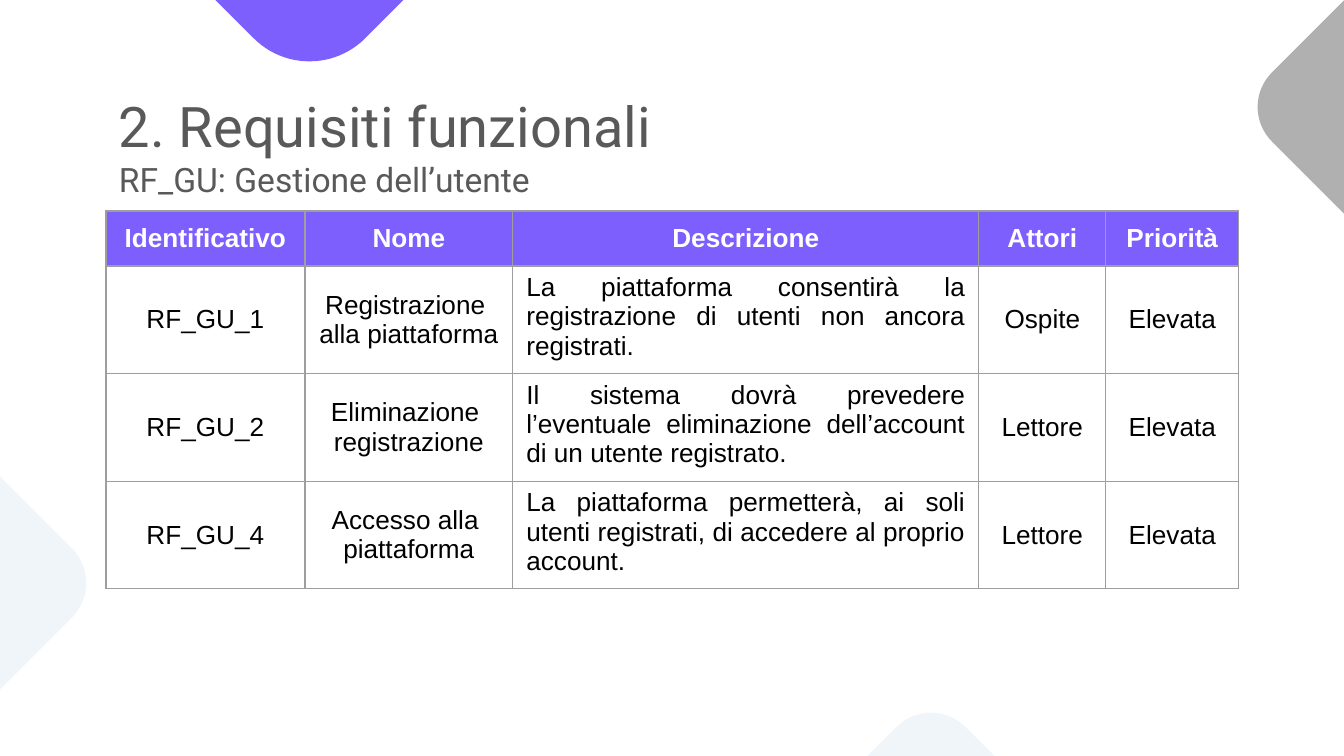
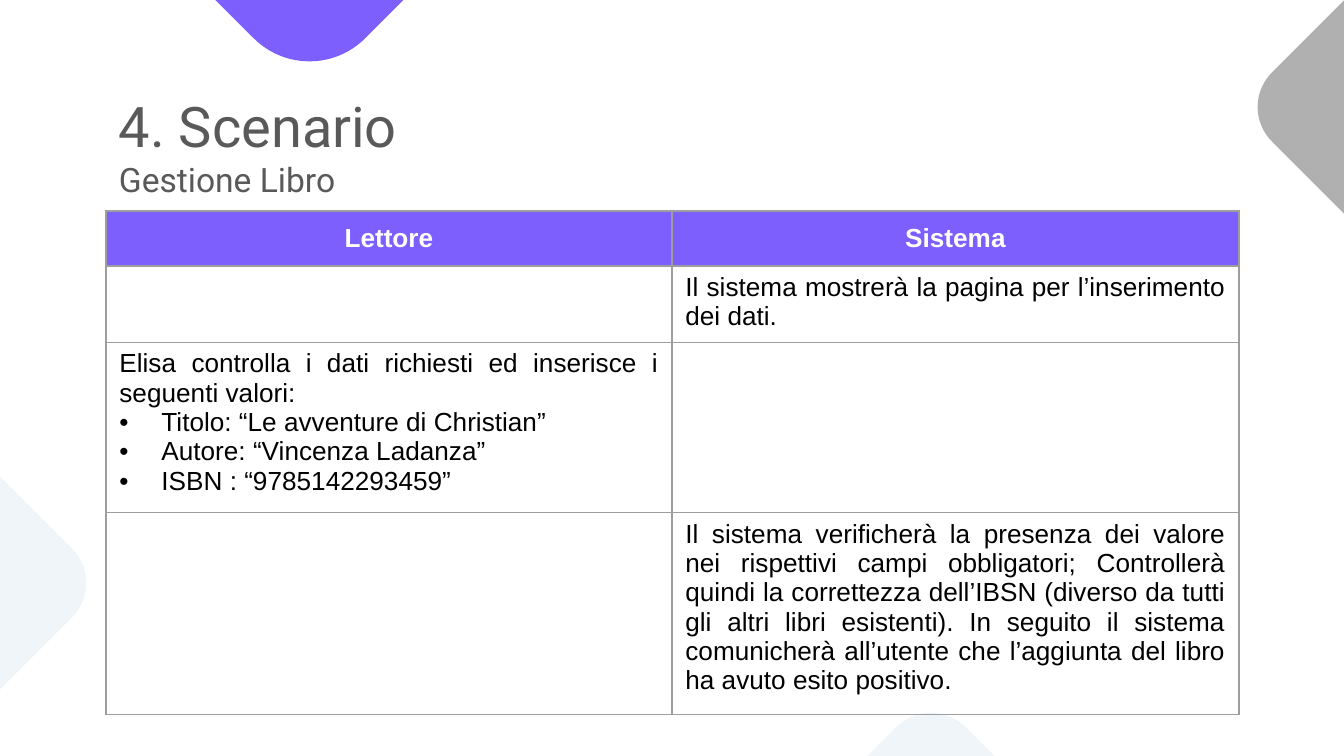
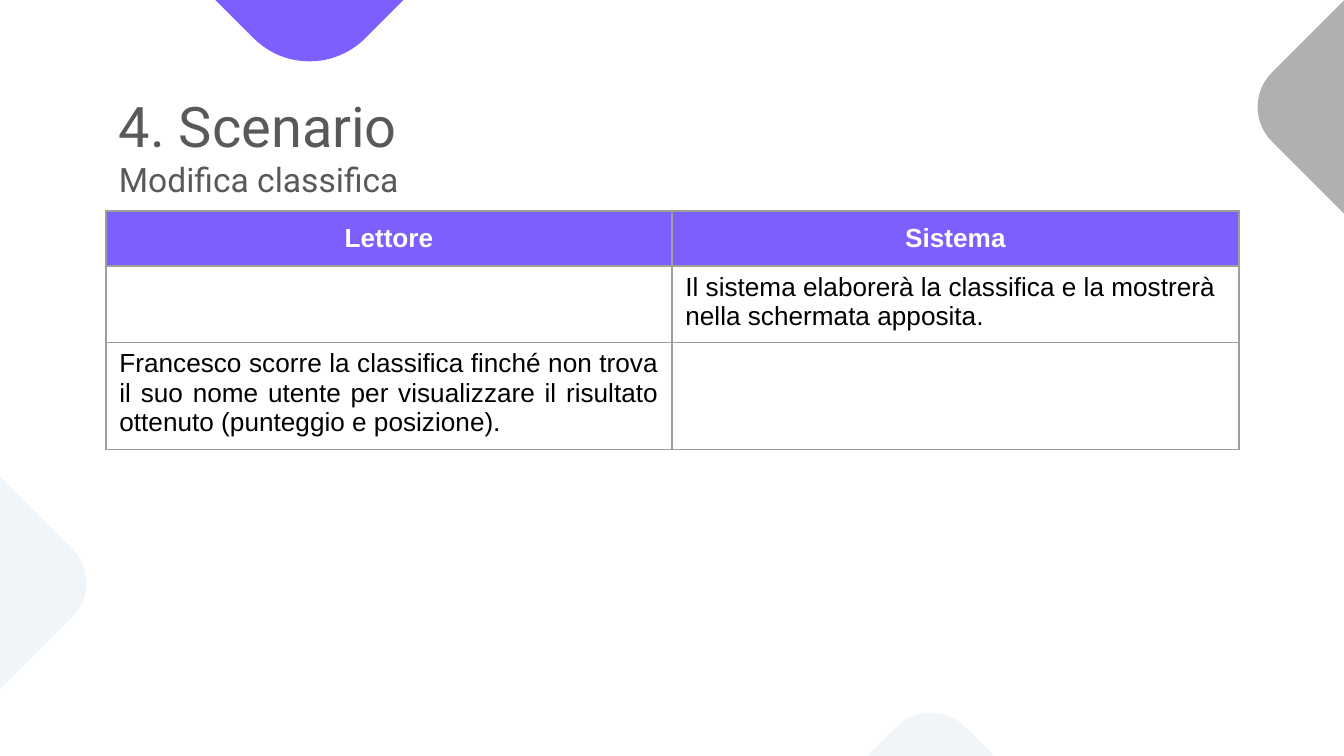
from lxml import etree
from pptx import Presentation
from pptx.dml.color import RGBColor
from pptx.enum.shapes import MSO_SHAPE
from pptx.enum.text import MSO_ANCHOR, PP_ALIGN
from pptx.oxml.ns import qn
from pptx.util import Pt

ROUNDED = MSO_SHAPE.ROUNDED_RECTANGLE
MIDDLE, TOP = MSO_ANCHOR.MIDDLE, MSO_ANCHOR.TOP
CENTER, JUSTIFY, LEFT = PP_ALIGN.CENTER, PP_ALIGN.JUSTIFY, PP_ALIGN.LEFT

PURPLE = RGBColor(0x7D, 0x5F, 0xFE)
GRAY = RGBColor(0xB0, 0xB0, 0xB0)
PALE = RGBColor(0xF0, 0xF5, 0xFA)
TITLE = RGBColor(0x59, 0x59, 0x59)
BORDER = RGBColor(0x9E, 0x9E, 0x9E)
BLACK = RGBColor(0, 0, 0)
WHITE = RGBColor(0xFF, 0xFF, 0xFF)

SLIDE_W, SLIDE_H = 1344, 756
MARGIN, CONTENT_W = 106, 1133
TITLE_TOP, TABLE_TOP = 79, 211
ROW_H, INDENT, INSET = 55, 42, 13

DIAMONDS = [
    (73, -477, 473, PURPLE),
    (1298, -39, 292, GRAY),
    (-246, 437, 292, PALE),
    (785, 753, 292, PALE),
]

SLIDES = [
    {
        "title": "2. Requisiti funzionali",
        "subtitle": "RF_GU: Gestione dell’utente",
        "cols": [199, 208, 466, 127, 133],
        "justified": [2],
        "row_heights": [ROW_H] * 4,
        "height": 378,
        "rows": [
            ["Identificativo", "Nome", "Descrizione", "Attori", "Priorità"],
            ["RF_GU_1", "Registrazione \nalla piattaforma",
             "La piattaforma consentirà la registrazione di utenti non ancora registrati.",
             "Ospite", "Elevata"],
            ["RF_GU_2", "Eliminazione \nregistrazione",
             "Il sistema dovrà prevedere l’eventuale eliminazione dell’account "
             "di un utente registrato.",
             "Lettore", "Elevata"],
            ["RF_GU_4", "Accesso alla \npiattaforma",
             "La piattaforma permetterà, ai soli utenti registrati, di accedere "
             "al proprio account.",
             "Lettore", "Elevata"],
        ],
    },
    {
        "title": "4. Scenario",
        "subtitle": "Gestione Libro",
        "cols": [566, 567],
        "justified": [0, 1],
        "row_heights": [ROW_H] * 3 + [22],
        "height": 503,
        "rows": [
            ["Lettore", "Sistema"],
            ["", "Il sistema mostrerà la pagina per l’inserimento dei dati."],
            ["Elisa controlla i dati richiesti ed inserisce i seguenti valori:\n"
             "• Titolo: “Le avventure di Christian”\n"
             "• Autore: “Vincenza Ladanza”\n"
             "• ISBN : “9785142293459” ", ""],
            ["", "Il sistema verificherà la presenza dei valore nei rispettivi campi "
             "obbligatori; Controllerà quindi la correttezza dell’IBSN (diverso da "
             "tutti gli altri libri esistenti). In seguito il sistema comunicherà "
             "all’utente che l’aggiunta del libro ha avuto esito positivo."],
        ],
    },
    {
        "title": "4. Scenario",
        "subtitle": "Modifica classifica",
        "cols": [566, 567],
        "justified": [0, 1],
        "row_heights": [ROW_H] * 3,
        "height": 238,
        "rows": [
            ["Lettore", "Sistema"],
            ["", "Il sistema elaborerà la classifica e la mostrerà \n"
             "nella schermata apposita."],
            ["Francesco scorre la classifica finché non trova \n"
             "il suo nome utente per visualizzare il risultato ottenuto "
             "(punteggio e posizione).", ""],
        ],
    },
]


def px(n):
    return round(n * 9144000 / SLIDE_W)


def add_text(p, text, size=14, font="Arial", color=BLACK, bold=False, align=LEFT):
    p.alignment = align
    if text.startswith("• "):
        text = text[2:]
        pPr = p._p.get_or_add_pPr()
        pPr.set("marL", str(px(INDENT)))
        pPr.set("indent", str(-px(INDENT)))
        etree.SubElement(pPr, qn("a:buFont"), typeface="Arial")
        etree.SubElement(pPr, qn("a:buChar"), char="•")
    r = p.add_run()
    r.text = text
    r.font.size = Pt(size)
    r.font.name = font
    r.font.bold = bold
    r.font.color.rgb = color


prs = Presentation()
prs.slide_width, prs.slide_height = px(SLIDE_W), px(SLIDE_H)

for spec_data in SLIDES:
    s = prs.slides.add_slide(prs.slide_layouts[6])

    for x, y, side, color in DIAMONDS:
        sp = s.shapes.add_shape(ROUNDED, px(x), px(y), px(side), px(side))
        sp.rotation = 315
        sp.shadow.inherit = False
        sp.fill.solid()
        sp.fill.fore_color.rgb = color
        sp.line.fill.background()

    box = s.shapes.add_textbox(px(MARGIN), px(TITLE_TOP), px(CONTENT_W),
                               px(TABLE_TOP - TITLE_TOP))
    tf = box.text_frame
    tf.word_wrap = True
    tf.vertical_anchor = TOP
    tf.margin_left = tf.margin_right = tf.margin_top = tf.margin_bottom = px(INSET)
    p = tf.paragraphs[0]
    add_text(p, spec_data["title"], size=30, font="Roboto", color=TITLE)
    p.add_line_break()
    add_text(p, spec_data["subtitle"], size=18, font="Roboto", color=TITLE)

    rows, cols = spec_data["rows"], spec_data["cols"]
    frame = s.shapes.add_table(len(rows), len(cols), px(MARGIN), px(TABLE_TOP),
                               px(CONTENT_W), px(spec_data["height"]))
    table = frame.table
    table.first_row = table.horz_banding = False
    for col, width in zip(table.columns, cols):
        col.width = px(width)
    for row, height in zip(table.rows, spec_data["row_heights"]):
        row.height = px(height)
    frame.height = px(spec_data["height"])

    for i, row in enumerate(rows):
        for j, text in enumerate(row):
            cell = table.cell(i, j)
            header = i == 0
            justified = not header and j in spec_data["justified"]
            cell.vertical_anchor = TOP if justified else MIDDLE
            tcPr = cell._tc.get_or_add_tcPr()
            for edge in ("a:lnL", "a:lnR", "a:lnT", "a:lnB"):
                ln = etree.SubElement(tcPr, qn(edge), w=str(Pt(0.75)))
                fill = etree.SubElement(ln, qn("a:solidFill"))
                etree.SubElement(fill, qn("a:srgbClr"), val=str(BORDER))
            if header:
                cell.fill.solid()
                cell.fill.fore_color.rgb = PURPLE
            else:
                cell.fill.background()
            if not text:
                continue
            tf = cell.text_frame
            for k, line in enumerate(text.split("\n")):
                p = tf.add_paragraph() if k else tf.paragraphs[0]
                add_text(p, line, color=WHITE if header else BLACK, bold=header,
                         align=JUSTIFY if justified else CENTER)

prs.save("out.pptx")
